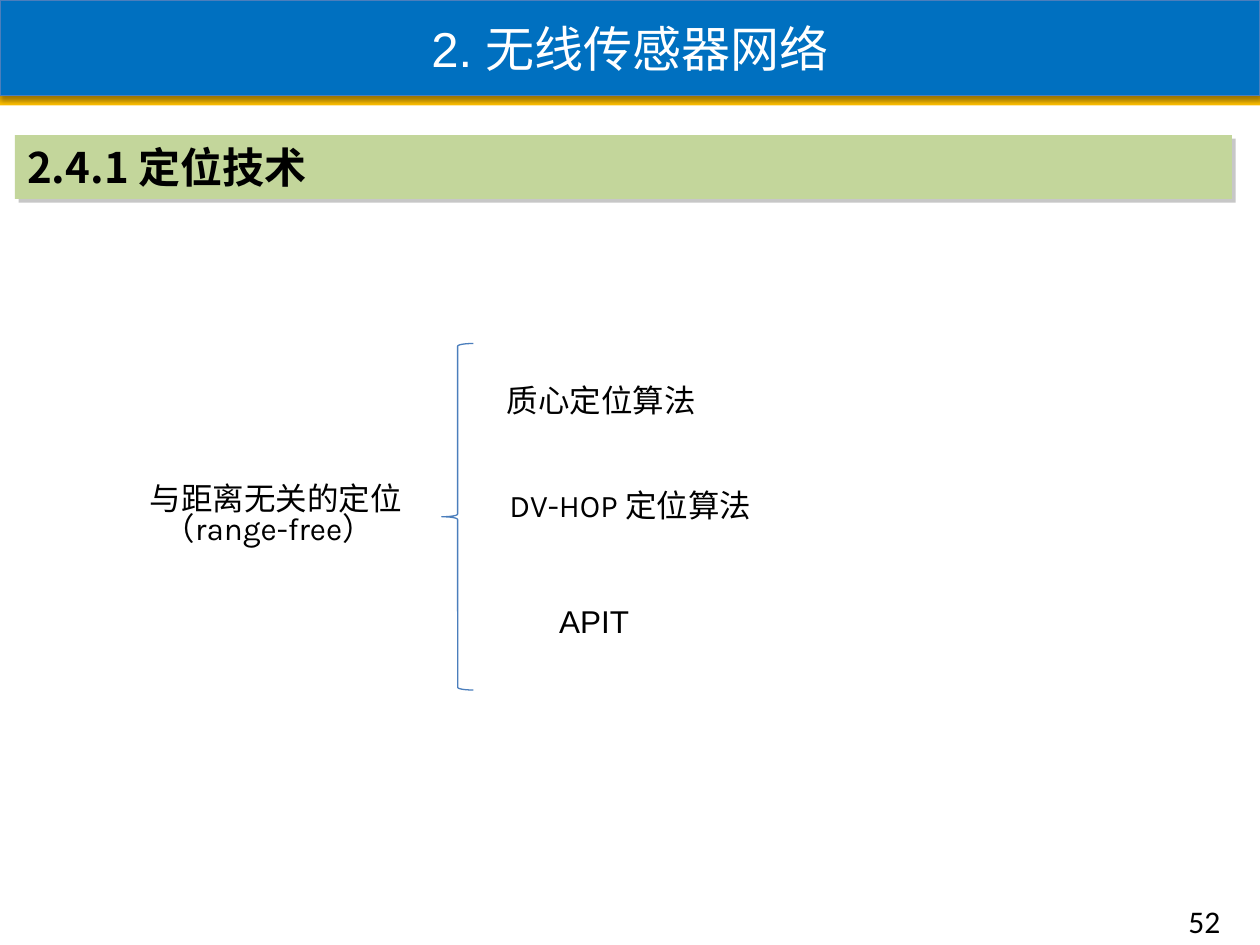
from lxml import etree
from pptx import Presentation
from pptx.dml.color import RGBColor
from pptx.enum import shapes, text
from pptx.oxml import ns
from pptx.util import Pt

BLACK = RGBColor(0, 0, 0)
WHITE = RGBColor(255, 255, 255)
BLUE = RGBColor(0x00, 0x70, 0xC0)
OUTLINE = RGBColor(0x4B, 0x7E, 0xBC)
GOLD = RGBColor(0xFF, 0xC0, 0x00)
GREEN = RGBColor(0xC3, 0xD6, 0x9B)
CJK = "Noto Sans CJK SC"
LEFT, CENTER = text.PP_ALIGN.LEFT, text.PP_ALIGN.CENTER
SHAPE = shapes.MSO_SHAPE

TITLE = "2. 无线传感器网络"
SECTION = "2.4.1 定位技术"
PAGE = "52"
CATEGORY = ["与距离无关的定位", "（range-free）"]
# wording, font, alignment, (left, top, width, height)
ALGORITHMS = [
    ("质心定位算法", "Karla", LEFT, (282.5, 214.2, 126, 29)),
    ("DV-HOP 定位算法", "Karla", CENTER, (264.2, 274.2, 192, 29)),
    ("APIT", "Arial", CENTER, (276.5, 340.5, 126, 29)),
]

WIDTH, HEIGHT = 720, 540
TITLE_HEIGHT = 54.75

deck = Presentation()
deck.slide_width, deck.slide_height = Pt(WIDTH), Pt(HEIGHT)
slide = deck.slides.add_slide(deck.slide_layouts[6])


def add_shape(kind, box, fill=None, line=None):
    shape = slide.shapes.add_shape(kind, *map(Pt, box))
    shape.shadow.inherit = False
    if fill is None:
        shape.fill.background()
    else:
        shape.fill.solid()
        shape.fill.fore_color.rgb = fill
    if line is None:
        shape.line.fill.background()
    else:
        shape.line.color.rgb = line
        shape.line.width = Pt(0.75)
    return shape


def add_shadow(shape, color, opacity, blur, distance, angle):
    """Outer shadow: opacity in percent, lengths in points, angle in degrees."""
    effects = shape._element.spPr.find(ns.qn("a:effectLst"))
    shadow = etree.SubElement(
        effects, ns.qn("a:outerShdw"), blurRad=str(Pt(blur)),
        dist=str(Pt(distance)), dir=str(angle * 60000), algn="tl", rotWithShape="0")
    tint = etree.SubElement(shadow, ns.qn("a:srgbClr"), val=str(color))
    etree.SubElement(tint, ns.qn("a:alpha"), val=str(opacity * 1000))


def write(shape, lines, size=18, font="Karla", color=BLACK, bold=False,
          align=LEFT, anchor=text.MSO_ANCHOR.TOP, spacing=None):
    frame = shape.text_frame
    frame.word_wrap = True
    frame.vertical_anchor = anchor
    for index, line in enumerate(lines):
        paragraph = frame.add_paragraph() if index else frame.paragraphs[0]
        paragraph.alignment = align
        if spacing:
            paragraph.line_spacing = spacing
        run = paragraph.add_run()
        run.text = line
        run.font.size, run.font.name, run.font.bold = Pt(size), font, bold
        run.font.color.rgb = color
        etree.SubElement(run.font._element, ns.qn("a:ea"), typeface=CJK)
    return frame


def add_label(box, lines, **style):
    return write(slide.shapes.add_textbox(*map(Pt, box)), lines, **style)


add_shape(SHAPE.RECTANGLE, (0, TITLE_HEIGHT, WIDTH, 5.5), GOLD)

section_bar = add_shape(SHAPE.RECTANGLE, (8.5, 77.2, 695.5, 36.5), GREEN)
add_shadow(section_bar, RGBColor(0x80, 0x80, 0x80), 43, 0, 3, 45)
write(section_bar, [SECTION], size=24, font=CJK, bold=True)

add_label((672, 512, 47.5, 29), [PAGE], font="Calibri")

category = add_label((78.5, 274.3, 169, 42.5), CATEGORY, spacing=0.8)
category.paragraphs[1]._p.get_or_add_pPr().set("marL", str(Pt(8)))

add_shape(SHAPE.LEFT_BRACE, (252.5, 196.3, 18, 198), line=OUTLINE)
for wording, font, align, box in ALGORITHMS:
    add_label(box, [wording], font=font, align=align)

title_bar = add_shape(SHAPE.RECTANGLE, (0, 0, WIDTH, TITLE_HEIGHT), BLUE, OUTLINE)
add_shadow(title_bar, BLACK, 38, 3.1, 1.6, 90)
write(title_bar, [TITLE], size=28, font="Arial", color=WHITE,
      align=CENTER, anchor=text.MSO_ANCHOR.MIDDLE)

deck.save("out.pptx")
